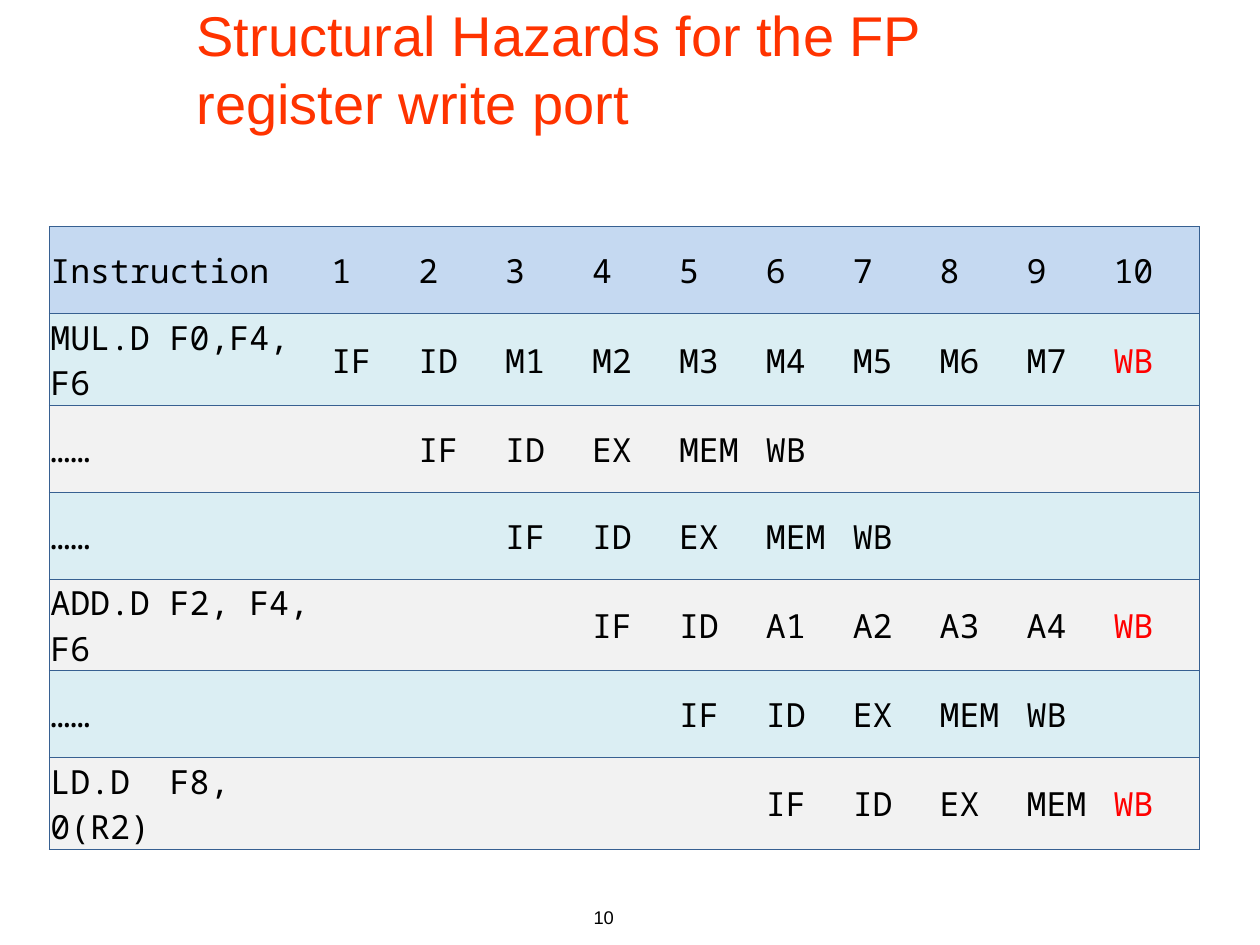
from lxml import etree
from pptx import Presentation
from pptx.dml.color import RGBColor
from pptx.enum import text
from pptx.oxml.ns import qn
from pptx.util import Inches, Pt

TITLE = "Structural Hazards for the FP register write port"
PAGE_NUMBER = "10"
CYCLES = 10
HEADER = "Instruction"
PIPELINES = [
    ("MUL.D F0,F4, F6", 1, "IF ID M1 M2 M3 M4 M5 M6 M7 WB"),
    ("……", 2, "IF ID EX MEM WB"),
    ("……", 3, "IF ID EX MEM WB"),
    ("ADD.D F2, F4, F6", 4, "IF ID A1 A2 A3 A4 WB"),
    ("……", 5, "IF ID EX MEM WB"),
    ("LD.D  F8, 0(R2)", 6, "IF ID EX MEM WB"),
]
HEADER_FILL, BANDS = "C5D9F1", ("DBEEF3", "F2F2F2")
BORDER, CONFLICT = "376091", "FF0000"
LABEL_WIDTH, CYCLE_WIDTH, ROW_HEIGHT = 2.23, 0.69, 0.69
NO_GRID_STYLE = "{2D5ABB26-0587-4C30-8999-92F81FD0307C}"


def color(value):
    return RGBColor.from_string(value)


def write(frame, words, size, font="Arial", ink="000000", align=text.PP_ALIGN.LEFT):
    frame.word_wrap = True
    para = frame.paragraphs[0]
    para.alignment = align
    span = para.add_run()
    span.text = words
    span.font.size = Pt(size)
    span.font.name = font
    span.font.color.rgb = color(ink)


def add_border(cell, side):
    properties = cell._tc.get_or_add_tcPr()
    line = etree.SubElement(properties, qn(f"a:ln{side}"), w=str(Pt(0.5)))
    fill = etree.SubElement(line, qn("a:solidFill"))
    etree.SubElement(fill, qn("a:srgbClr"), val=BORDER)


def format_cell(cell, words, fill, sides, ink):
    for side in sides:
        add_border(cell, side)
    cell.fill.solid()
    cell.fill.fore_color.rgb = color(fill)
    cell.vertical_anchor = text.MSO_ANCHOR.MIDDLE
    cell.margin_left = cell.margin_right = cell.margin_top = Inches(0.01)
    cell.margin_bottom = 0
    if words:
        write(cell.text_frame, words, 19, "Noto Sans Mono", ink)


def add_pipeline_table(page):
    rows = [[HEADER] + [str(cycle) for cycle in range(1, CYCLES + 1)]]
    for label, start, stages in PIPELINES:
        row = [label] + [""] * (start - 1) + stages.split()
        rows.append(row + [""] * (CYCLES + 1 - len(row)))
    frame = page.shapes.add_table(
        len(rows), CYCLES + 1, Inches(0.39), Inches(1.8),
        Inches(LABEL_WIDTH + CYCLES * CYCLE_WIDTH), Inches(ROW_HEIGHT * len(rows)))
    table = frame.table
    table.first_row = table.horz_banding = False
    table._tbl.tblPr.find(qn("a:tableStyleId")).text = NO_GRID_STYLE
    for index, column in enumerate(table.columns):
        column.width = Inches(CYCLE_WIDTH if index else LABEL_WIDTH)
    for r, row in enumerate(rows):
        table.rows[r].height = Inches(ROW_HEIGHT)
        fill = BANDS[(r - 1) % 2] if r else HEADER_FILL
        for c, words in enumerate(row):
            sides = {0: "LTB", CYCLES: "RTB"}.get(c, "TB")
            clash = c == CYCLES and words == "WB"
            format_cell(table.cell(r, c), words, fill, sides,
                        CONFLICT if clash else "000000")


def place(box, left, top, width, height):
    box.left, box.top = Inches(left), Inches(top)
    box.width, box.height = Inches(width), Inches(height)


def main():
    deck = Presentation()
    deck.slide_width, deck.slide_height = Inches(10), Inches(7.5)
    page = deck.slides.add_slide(deck.slide_layouts[5])

    title = page.shapes.title
    place(title, 1.46, 0, 6.76, 1.08)
    title.fill.solid()
    title.fill.fore_color.rgb = color("FFFFFF")
    title.text_frame.auto_size = text.MSO_AUTO_SIZE.NONE
    title.text_frame.vertical_anchor = text.MSO_ANCHOR.MIDDLE
    write(title.text_frame, TITLE, 32, ink="FF3300")

    add_pipeline_table(page)

    number = page.shapes.add_textbox(
        Inches(2.89), Inches(7.14), Inches(2.08), Inches(0.5))
    write(number.text_frame, PAGE_NUMBER, 10.5, align=text.PP_ALIGN.RIGHT)

    deck.save("out.pptx")


if __name__ == "__main__":
    main()
